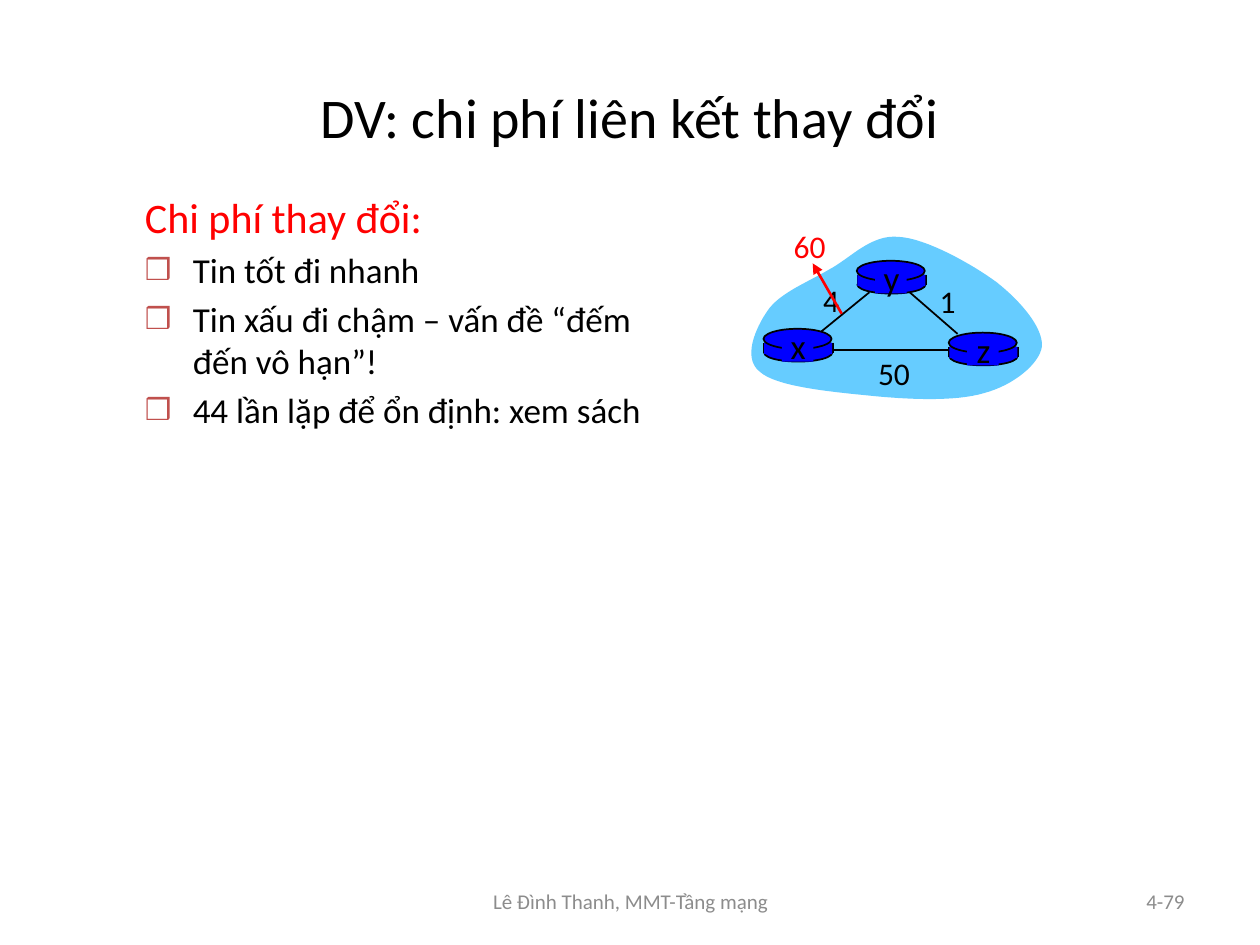
from lxml import etree
from pptx import Presentation
from pptx.dml.color import RGBColor
from pptx.enum.shapes import MSO_CONNECTOR, MSO_SHAPE
from pptx.enum.text import MSO_ANCHOR, MSO_AUTO_SIZE, PP_ALIGN
from pptx.oxml.ns import qn
from pptx.util import Inches, Pt

STRAIGHT = MSO_CONNECTOR.STRAIGHT
ELLIPSE, RECTANGLE = MSO_SHAPE.OVAL, MSO_SHAPE.RECTANGLE
LEFT, CENTER, RIGHT = PP_ALIGN.LEFT, PP_ALIGN.CENTER, PP_ALIGN.RIGHT
MIDDLE, TOP = MSO_ANCHOR.MIDDLE, MSO_ANCHOR.TOP
NO_AUTOFIT = MSO_AUTO_SIZE.NONE
FONT = "Calibri"
COLORS = {name: RGBColor.from_string(value) for name, value in {
    "text": "000000", "accent": "FF0000", "footer": "8C8C8C",
    "bullet": "C0504D", "cloud": "66CCFF", "router": "0000FF"}.items()}

prs = Presentation()
prs.slide_width, prs.slide_height = Inches(10), Inches(7.5)
CELL = prs.slide_width // 100  # grid of 100 columns by 75 rows
slide = prs.slides.add_slide(prs.slide_layouts[1])
shapes = slide.shapes


def grid(*cells):
    return [round(CELL * cell) for cell in cells]


def add_line(ends, color="text", width=1):
    line = shapes.add_connector(STRAIGHT, *grid(*ends))
    line.line.color.rgb = COLORS[color]
    line.line.width = Pt(width)
    etree.SubElement(line._element.spPr, qn("a:effectLst"))
    return line


# Title
title = shapes.title
title.left, title.top, title.width, title.height = grid(5, 3, 90, 12.5)
title.text_frame.text = "DV: chi phí liên kết thay đổi"
title.text_frame.auto_size = NO_AUTOFIT
title_font = title.text_frame.paragraphs[0].runs[0].font
title_font.name, title_font.size, title_font.color.rgb = FONT, Pt(32), COLORS["text"]

# Heading and bulleted list
body = slide.placeholders[1]
body.left, body.top, body.width, body.height = grid(10.5, 14.7, 41.7, 16.2)
body.text_frame.text = "\n".join([
    "Chi phí thay đổi:",
    "Tin tốt đi nhanh",
    "Tin xấu đi chậm – vấn đề “đếm đến vô hạn”!",
    "44 lần lặp để ổn định: xem sách"])
body.text_frame.auto_size = NO_AUTOFIT
body.text_frame.vertical_anchor = TOP
for index, item in enumerate(body.text_frame.paragraphs):
    is_heading = index == 0
    props = item._p.get_or_add_pPr()
    props.set("marL", str(Inches(0.38)))
    props.set("indent", str(-Inches(0.38)))
    if is_heading:
        etree.SubElement(props, qn("a:buNone"))
    else:
        bullet_color = etree.SubElement(props, qn("a:buClr"))
        etree.SubElement(bullet_color, qn("a:srgbClr"), val=str(COLORS["bullet"]))
        etree.SubElement(props, qn("a:buSzPct"), val="85000")
        etree.SubElement(props, qn("a:buChar"), char="❒")
    item.alignment = LEFT
    item.space_before = Pt(0 if is_heading else 4)
    font = item.runs[0].font
    font.name, font.size = FONT, Pt(24 if is_heading else 20)
    font.color.rgb = COLORS["accent" if is_heading else "text"]

# Network cloud: each curve has two control points and an end point
cloud_start = (60.9, 24.7)
cloud_curves = [
    ((61.8, 23.3), (64.1, 22.4), (65.8, 21.4)),
    ((67.5, 20.5), (69.1, 18.6), (71.3, 18.8)),
    ((73.5, 18.9), (77.2, 21), (79.1, 22.4)),
    ((81, 23.9), (82.8, 26), (82.7, 27.5)),
    ((82.5, 28.9), (80.4, 30.6), (78.1, 31.2)),
    ((75.8, 31.9), (71.9, 31.7), (69, 31.4)),
    ((66, 31.1), (61.6, 30.7), (60.3, 29.5)),
    ((58.9, 28.4), (60, 26), cloud_start)]
STEPS = 16
outline, start = [], cloud_start
for first, second, end in cloud_curves:
    for step in range(1, STEPS + 1):
        t = step / STEPS
        weights = ((1 - t) ** 3, 3 * t * (1 - t) ** 2, 3 * t * t * (1 - t), t ** 3)
        corners = (start, first, second, end)
        outline.append(grid(*(sum(w * corner[axis] for w, corner in zip(weights, corners))
                              for axis in (0, 1))))
    start = end
builder = shapes.build_freeform(*grid(*cloud_start))
builder.add_line_segments(outline, close=True)
cloud = builder.convert_to_shape()
cloud.shadow.inherit = False
cloud.fill.solid()
cloud.fill.fore_color.rgb = COLORS["cloud"]
cloud.line.fill.background()

# Links x-y, y-z and x-z
for link in [(65.2, 26.3, 69, 23.2), (72.2, 23.2, 76, 26.5), (66.2, 27.8, 75.5, 27.8)]:
    add_line(link)

# Routers: base, two sides, wall, lid and letter patch, offset from the lid's corner
routers = {"x": (60.6, 26.1), "z": (75.3, 26.4), "y": (68, 20.7)}
router_parts = [
    (ELLIPSE, 0.05, 1.2, 5.4, 1.4),
    ("side", 0.05, 1.1, 0, 0.8),
    ("side", 5.5, 1.1, 0, 0.8),
    (RECTANGLE, 0.05, 1.1, 5.4, 0.9),
    (ELLIPSE, 0, 0, 5.4, 1.6),
    (RECTANGLE, 1.45, 0.3, 2.5, 2.3)]
for left, top in routers.values():
    for kind, dx, dy, width, height in router_parts:
        x, y = left + dx, top + dy
        if kind == "side":
            add_line((x, y, x + width, y + height))
            continue
        part = shapes.add_shape(kind, *grid(x, y, width, height))
        part.shadow.inherit = False
        part.fill.solid()
        part.fill.fore_color.rgb = COLORS["router"]
        if kind == ELLIPSE:
            part.line.color.rgb = COLORS["text"]
            part.line.width = Pt(1)
        else:
            part.line.fill.background()

# Router letters, link costs and footer
labels = [(name, (left + 1, top - 0.8, 3.5, 4.3), 20, "text", CENTER)
          for name, (left, top) in routers.items()]
labels += [
    ("1", (73.6, 21.9, 3.1, 4), 18, "text", CENTER),
    ("4", (64.2, 21.8, 3.5, 4), 18, "text", CENTER),
    ("50", (68.4, 27.6, 5.1, 4), 18, "text", CENTER),
    ("60", (61.7, 17.5, 5.1, 4), 18, "accent", CENTER),
    ("Lê Đình Thanh, MMT-Tầng mạng", (34.2, 69.5, 31.7, 4), 12, "footer", CENTER),
    ("4-79", (71.7, 69.5, 23.3, 4), 12, "footer", RIGHT)]
for text, box, size, color, alignment in labels:
    label = shapes.add_textbox(*grid(*box)).text_frame
    label.text = text
    label.word_wrap = color == "footer"
    label.vertical_anchor = MIDDLE
    label.paragraphs[0].alignment = alignment
    font = label.paragraphs[0].runs[0].font
    font.name, font.size, font.color.rgb = FONT, Pt(size), COLORS[color]

# Arrow from link x-y to its new cost
cost_change = add_line((66.8, 24.9, 64.5, 20.9), "accent", 1.5)
etree.SubElement(cost_change.line._get_or_add_ln(), qn("a:tailEnd"), type="triangle")

prs.save("out.pptx")
